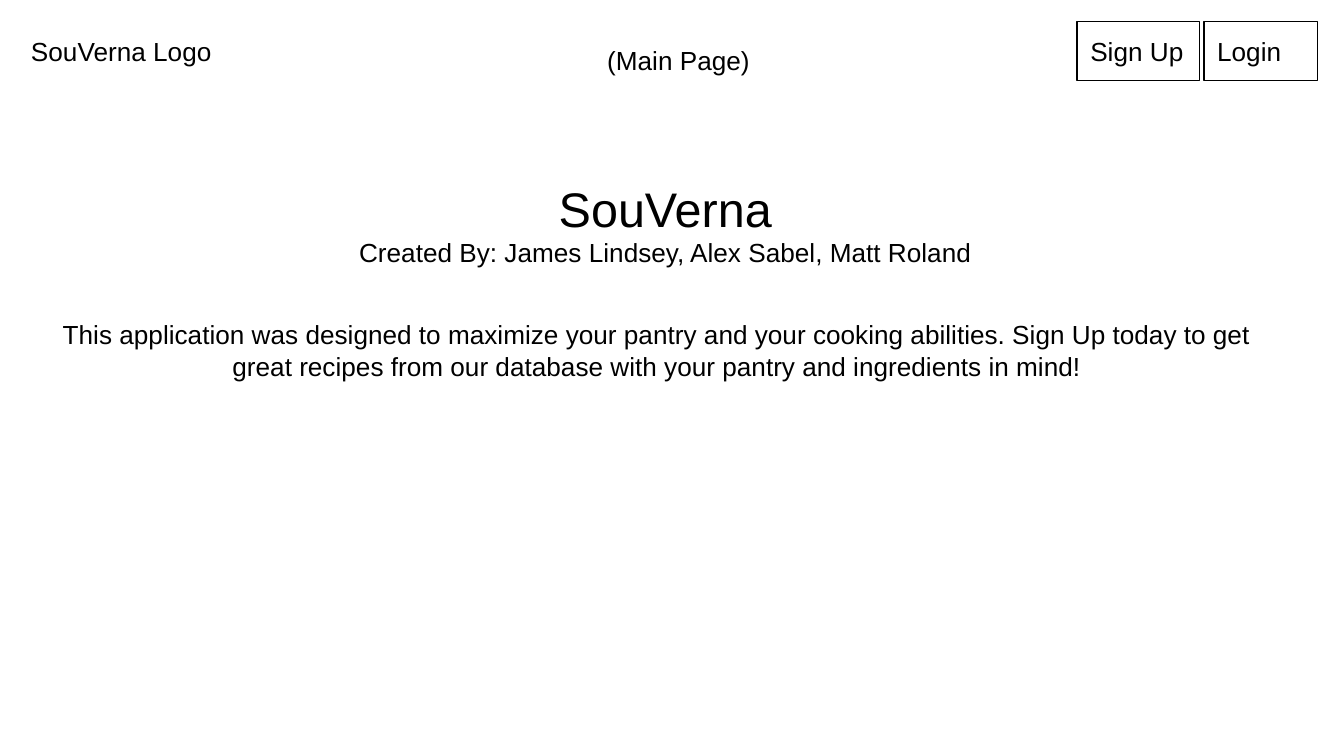
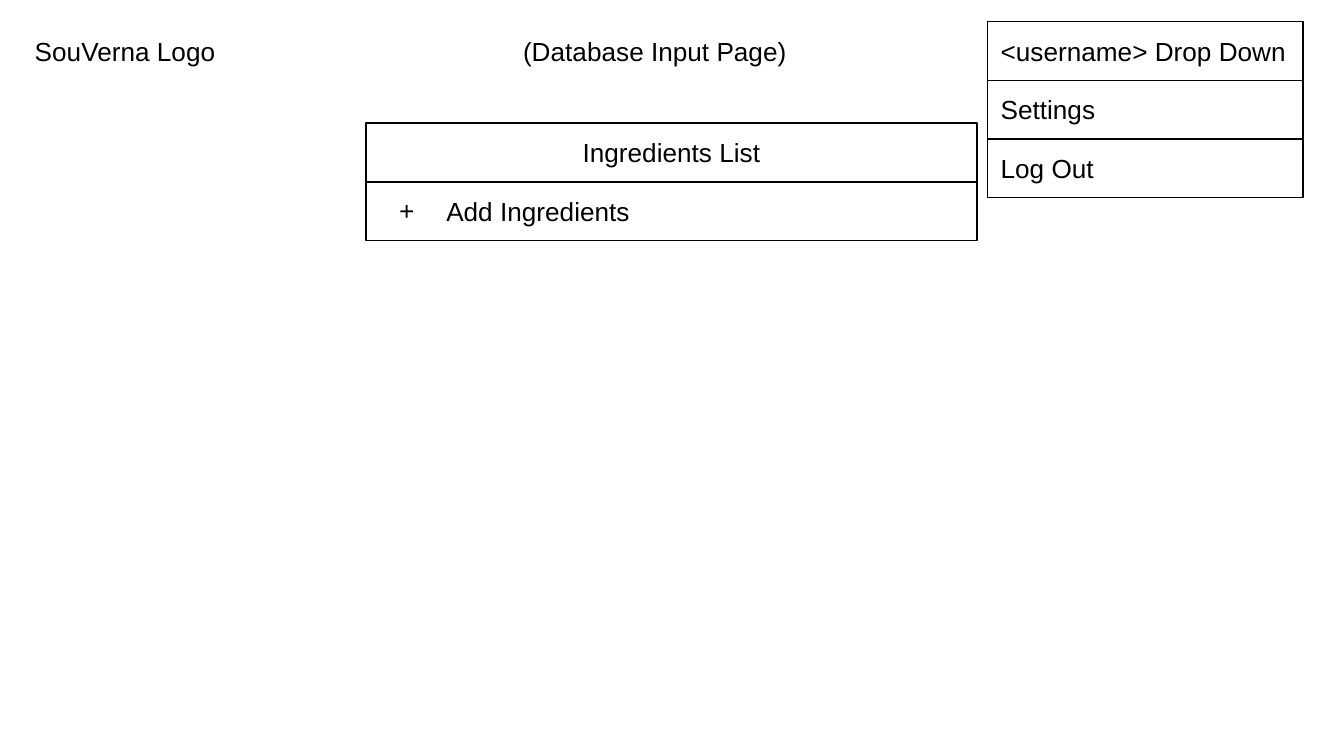
"""Build a two-page wireframe of a recipe application."""
from pptx import Presentation
from pptx import util as u
from pptx.dml.color import RGBColor
from pptx.enum import shapes, text
from lxml import etree

FONT, INK, PAPER = "Arial", "000000", "FFFFFF"
BODY_SIZE, HEAD_SIZE = 14, 26
INSET, LINE_WIDTH = 7.2, 0.75
BAR_TOP, ROW_HEIGHT = 11.5, 31.5
LEFT, CENTER = text.PP_ALIGN.LEFT, text.PP_ALIGN.CENTER
APP = "SouVerna"

PAGES = [
    {
        "title": ("(Main Page)", (259, 16.5, 209, ROW_HEIGHT), CENTER),
        "logo": (9.5, 125.5),
        "texts": [
            ([(APP, HEAD_SIZE),
              ("Created By: James Lindsey, Alex Sabel, Matt Roland", BODY_SIZE)],
             (47, 88.5, 619, 63.5)),
            ([("This application was designed to maximize your pantry and your "
               "cooking abilities. Sign Up today to get great recipes from our "
               "database with your pantry and ingredients in mind!", BODY_SIZE)],
             (24.5, 163.5, 655, 48)),
        ],
        "stacks": [
            (645, BAR_TOP, 61, [("Login", LEFT, "")]),
            (577, BAR_TOP, 65.5, [("Sign Up", LEFT, "")]),
        ],
    },
    {
        "title": ("(Database Input Page)", (273, BAR_TOP, 174, ROW_HEIGHT), LEFT),
        "logo": (11.5, 117.5),
        "texts": [],
        "stacks": [
            (529, BAR_TOP, 169, [("<username> Drop Down", LEFT, ""),
                                 ("Settings", LEFT, ""),
                                 ("Log Out", LEFT, "")]),
            (196, 66, 327.5, [("Ingredients List", CENTER, ""),
                              ("Add Ingredients", LEFT, "+")]),
        ],
    },
]


def color(value):
    return RGBColor.from_string(value)


def points(frame):
    return [u.Pt(length) for length in frame]


def write(box, lines, align):
    """Fill a box with (wording, size) lines in the shared text style."""
    frame = box.text_frame
    frame.text = "\n".join(wording for wording, size in lines)
    frame.word_wrap = True
    frame.auto_size = text.MSO_AUTO_SIZE.SHAPE_TO_FIT_TEXT
    frame.vertical_anchor = text.MSO_ANCHOR.TOP
    frame.margin_left = frame.margin_right = u.Pt(INSET)
    frame.margin_top = frame.margin_bottom = u.Pt(INSET)
    for para, (wording, size) in zip(frame.paragraphs, lines):
        para.alignment = align
        for span in para.runs:
            span.font.name = FONT
            span.font.size = u.Pt(size)
            span.font.color.rgb = color(INK)


def add_text(page, lines, frame, align):
    write(page.shapes.add_textbox(*points(frame)), lines, align)


def add_bullet(para, mark):
    """Hang a bullet mark in front of a paragraph."""
    props = para._p.get_or_add_pPr()
    props.set("marL", str(u.Pt(36)))
    props.set("indent", str(u.Pt(-25.2)))
    space = props.nsmap["a"]
    bullet_color = etree.SubElement(props, f"{{{space}}}buClr")
    etree.SubElement(bullet_color, f"{{{space}}}srgbClr", val=INK)
    etree.SubElement(props, f"{{{space}}}buFont", typeface=FONT)
    etree.SubElement(props, f"{{{space}}}buChar", char=mark)


def add_stack(page, left, top, width, rows):
    """Draw outlined rows that touch, from top to bottom."""
    for index, (wording, align, mark) in enumerate(rows):
        frame = (left, top + index * ROW_HEIGHT, width, ROW_HEIGHT)
        box = page.shapes.add_shape(shapes.MSO_SHAPE.RECTANGLE, *points(frame))
        box.shadow.inherit = False
        box.fill.background()
        box.line.color.rgb = color(INK)
        box.line.width = u.Pt(LINE_WIDTH)
        write(box, [(wording, BODY_SIZE)], align)
        if mark:
            add_bullet(box.text_frame.paragraphs[0], mark)


def add_page(deck, content):
    page = deck.slides.add_slide(deck.slide_layouts[5])
    page.background.fill.solid()
    page.background.fill.fore_color.rgb = color(PAPER)
    wording, frame, align = content["title"]
    title = page.shapes.title
    title.left, title.top, title.width, title.height = points(frame)
    write(title, [(wording, BODY_SIZE)], align)
    left, width = content["logo"]
    add_text(page, [(f"{APP} Logo", BODY_SIZE)],
             (left, BAR_TOP, width, ROW_HEIGHT), LEFT)
    for lines, frame in content["texts"]:
        add_text(page, lines, frame, CENTER)
    for stack in content["stacks"]:
        add_stack(page, *stack)


deck = Presentation()
deck.slide_width, deck.slide_height = points((720, 405))
for content in PAGES:
    add_page(deck, content)
deck.save("out.pptx")
